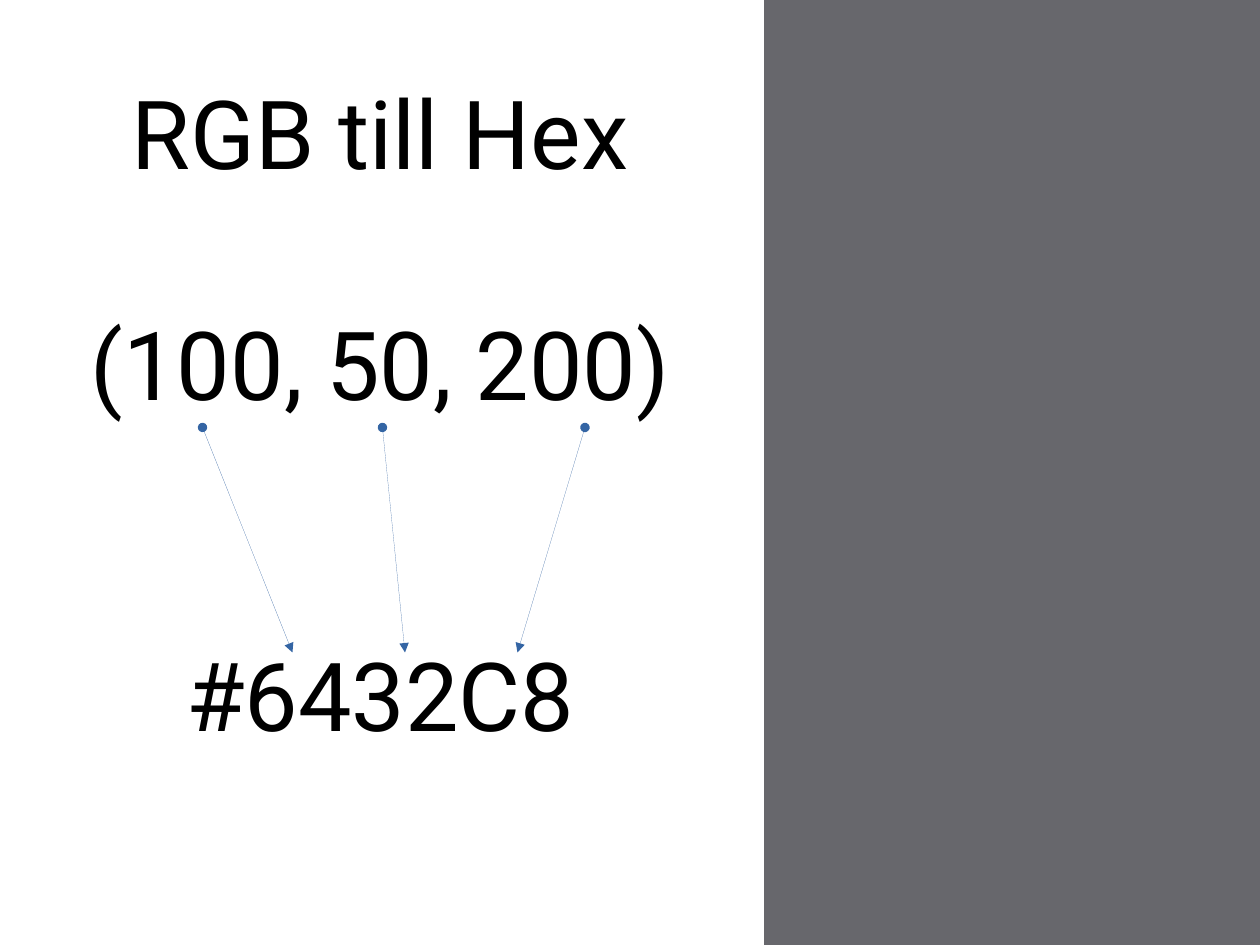
"""Build a slide that shows how an RGB colour maps to its hex code."""
from lxml import etree
from pptx import Presentation
from pptx.dml.color import RGBColor
from pptx.enum.shapes import MSO_CONNECTOR, MSO_SHAPE
from pptx.enum.text import MSO_ANCHOR, MSO_AUTO_SIZE, PP_ALIGN
from pptx.oxml.ns import qn
from pptx.util import Pt

RECT = MSO_SHAPE.RECTANGLE
LINE = MSO_CONNECTOR.STRAIGHT
CENTER = PP_ALIGN.CENTER
COLORS = {"panel": "67676C", "text": "000000", "arrow": "3465A4"}
FONT = {"name": "Roboto", "size": Pt(60), "bold": False}
FRAME = {
    "word_wrap": True,
    "auto_size": MSO_AUTO_SIZE.NONE,
    "vertical_anchor": MSO_ANCHOR.MIDDLE,
    "margin_left": 0,
    "margin_top": 0,
    "margin_right": 0,
    "margin_bottom": 0,
}
WIDE, HIGH = 793.7, 595.28
LEFT, TEXT_W, TEXT_H = 39.69, 399.69, 116.64
SPLIT = 481.89
TAIL_Y, TIP_Y = 269.29, 411.02
ARROWS = [(127.56, 184.25), (240.94, 255.12), (368.5, 325.98)]


def color(name):
    """Return the named colour."""
    return RGBColor.from_string(COLORS[name])


def apply(target, values):
    """Set each format value on the target."""
    for key, value in values.items():
        setattr(target, key, value)


def write(shape, text):
    """Put centred text in a shape."""
    frame = shape.text_frame
    apply(frame, FRAME)
    para = frame.paragraphs[0]
    para.alignment = CENTER
    run = para.add_run()
    run.text = text
    apply(run.font, FONT)
    run.font.color.rgb = color("text")


def add_title(slide, text, top):
    """Move and fill the title placeholder."""
    title = slide.shapes.title
    apply(title, {"left": Pt(LEFT), "top": Pt(top),
                  "width": Pt(TEXT_W), "height": Pt(TEXT_H)})
    write(title, text)


def add_code(slide, text, top):
    """Add a large line of colour code."""
    box = slide.shapes.add_textbox(Pt(LEFT), Pt(top), Pt(TEXT_W), Pt(TEXT_H))
    write(box, text)


def hairline(shape, name):
    """Give a shape the thinnest line and return its outline."""
    shape.line.color.rgb = color(name)
    outline = shape.element.spPr.find(qn("a:ln"))
    outline.set("w", "0")
    return outline


def add_panel(slide):
    """Add the grey panel on the right."""
    panel = slide.shapes.add_shape(
        RECT, Pt(SPLIT), 0, Pt(WIDE - SPLIT), Pt(HIGH))
    panel.shadow.inherit = False
    panel.fill.solid()
    panel.fill.fore_color.rgb = color("panel")
    hairline(panel, "panel")


def add_arrow(slide, start, end):
    """Add a thin arrow from a number to its hex pair."""
    arrow = slide.shapes.add_connector(
        LINE, Pt(start), Pt(TAIL_Y), Pt(end), Pt(TIP_Y))
    outline = hairline(arrow, "arrow")
    for tag, kind in (("a:headEnd", "oval"), ("a:tailEnd", "triangle")):
        etree.SubElement(outline, qn(tag), type=kind)
    etree.SubElement(arrow.element.spPr, qn("a:effectLst"))


def main():
    """Build and save the slide."""
    deck = Presentation()
    apply(deck, {"slide_width": Pt(WIDE), "slide_height": Pt(HIGH)})
    slide = deck.slides.add_slide(deck.slide_layouts.get_by_name("Title Only"))
    add_panel(slide)
    add_title(slide, "RGB till Hex", 24.7)
    add_code(slide, "(100, 50, 200)", 169.92)
    add_code(slide, "#6432C8", 378.72)
    for start, end in ARROWS:
        add_arrow(slide, start, end)
    deck.save("out.pptx")


if __name__ == "__main__":
    main()
